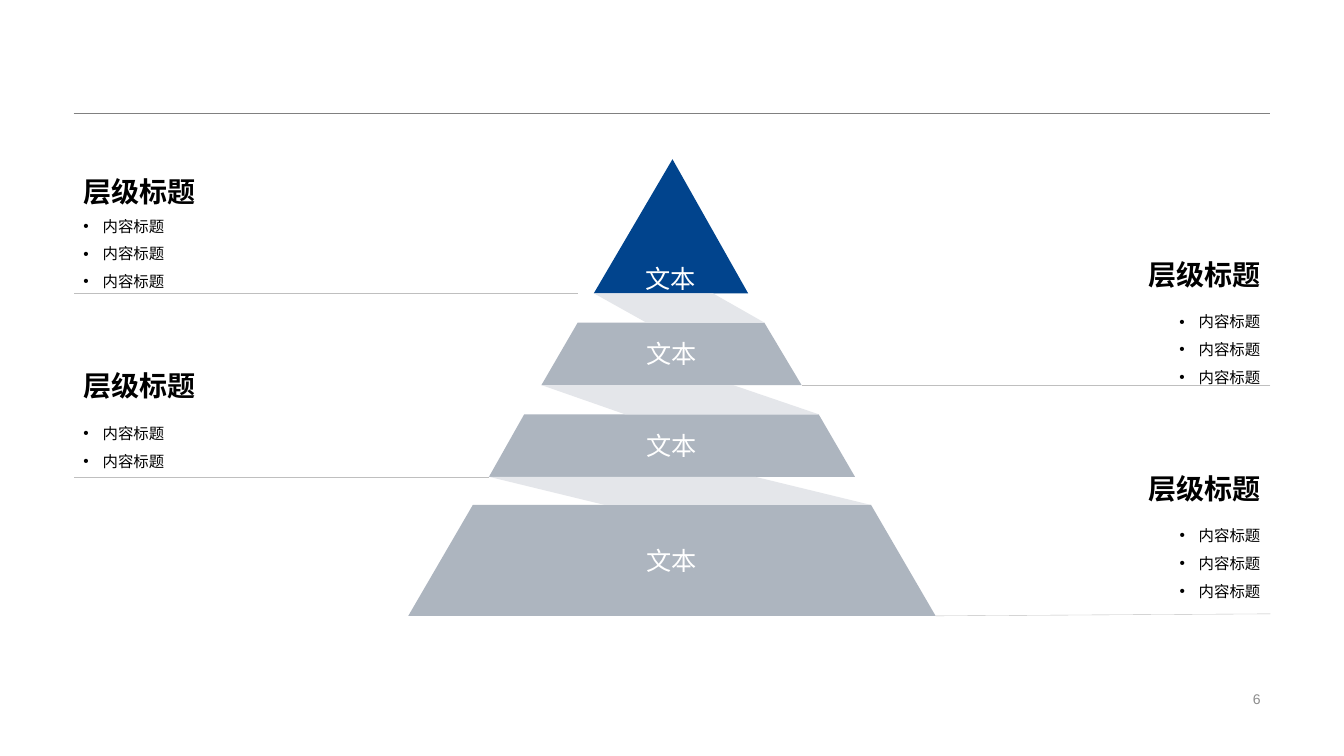
from dataclasses import dataclass
from itertools import pairwise

from lxml.etree import SubElement
from pptx import Presentation
from pptx.dml.color import RGBColor
from pptx.enum.shapes import MSO_CONNECTOR
from pptx.enum.text import MSO_ANCHOR as Anchor, PP_ALIGN as Align
from pptx.oxml.ns import qn
from pptx.slide import Slide
from pptx.text.text import TextFrame, _Paragraph as Paragraph
from pptx.util import Pt

PX = 9144  # EMU per px, 100 px to the inch
FONT = "Arial"

NAVY = RGBColor(0x01, 0x44, 0x8D)
STEEL = RGBColor(0xAD, 0xB5, 0xBF)
PALE = RGBColor(0xE4, 0xE6, 0xEA)
WHITE = RGBColor(0xFF, 0xFF, 0xFF)
BLACK = RGBColor(0x00, 0x00, 0x00)
HEADER_GREY = RGBColor(0x80, 0x80, 0x80)
RULE_GREY = RGBColor(0xBF, 0xBF, 0xBF)
NUMBER_GREY = RGBColor(0x8C, 0x8C, 0x8C)

LEFT, RIGHT = 73, 1260
HEADING_HEIGHT, LIST_HEIGHT = 48, 95

Point = tuple[int, int]


@dataclass(frozen=True)
class Tier:
    top: int
    bottom: int
    top_left: int
    top_right: int
    bottom_left: int
    bottom_right: int
    fill: RGBColor = STEEL
    anchor: Anchor = Anchor.MIDDLE
    label: str = "文本"


@dataclass(frozen=True)
class Level:
    left: int
    heading_top: int
    list_top: int
    width: int
    align: Align
    rule: tuple[Point, Point]
    items: int = 3
    heading: str = "层级标题"
    item: str = "内容标题"


TIERS = [
    Tier(158, 291, 667, 667, 589, 742, NAVY, Anchor.BOTTOM),
    Tier(320, 382, 573, 758, 537, 795),
    Tier(411, 473, 520, 812, 485, 848),
    Tier(501, 611, 469, 864, 405, 928),
]
# Upper right and lower left corner of each ribbon between two tiers
RIBBON_CORNERS = [(707, 641), (727, 620), (749, 600)]

LEVELS = [
    Level(LEFT, 166, 201, 516, Align.LEFT, ((573, 291), (LEFT, 291))),
    Level(744, 248, 296, 516, Align.RIGHT, ((RIGHT, 382), (795, 382))),
    Level(LEFT, 358, 407, 427, Align.LEFT, ((485, 473), (LEFT, 473)), items=2),
    Level(928, 460, 508, 332, Align.RIGHT, ((RIGHT, 609), (928, 611))),
]


def write(paragraph: Paragraph, text: str, size: int, color: RGBColor,
          align: Align, bold: bool = False) -> None:
    paragraph.alignment = align
    run = paragraph.add_run()
    run.text = text
    run.font.name = FONT
    run.font.size = Pt(size)
    run.font.bold = bold
    run.font.color.rgb = color


def add_bullet(paragraph: Paragraph) -> None:
    properties = paragraph._p.get_or_add_pPr()
    properties.set("marL", str(19 * PX))
    properties.set("indent", str(-19 * PX))
    SubElement(properties, qn("a:buFont"), typeface=FONT)
    SubElement(properties, qn("a:buChar"), char="•")


def add_frame(slide: Slide, left: int, top: int, width: int, height: int,
              anchor: Anchor) -> TextFrame:
    frame = slide.shapes.add_textbox(
        left * PX, top * PX, width * PX, height * PX).text_frame
    frame.word_wrap = True
    frame.vertical_anchor = anchor
    return frame


def add_rule(slide: Slide, start: Point, end: Point, color: RGBColor) -> None:
    rule = slide.shapes.add_connector(
        MSO_CONNECTOR.STRAIGHT, *(value * PX for value in start + end))
    rule.line.color.rgb = color
    rule.line.width = Pt(0.25)
    SubElement(rule._element.spPr, qn("a:effectLst"))


def add_polygon(slide: Slide, corners: list[Point], fill: RGBColor) -> TextFrame:
    builder = slide.shapes.build_freeform(*corners[0], scale=PX)
    builder.add_line_segments(corners[1:], close=True)
    polygon = builder.convert_to_shape()
    polygon.shadow.inherit = False
    polygon.fill.solid()
    polygon.fill.fore_color.rgb = fill
    polygon.line.fill.background()
    return polygon.text_frame


def add_tier(slide: Slide, tier: Tier) -> None:
    frame = add_polygon(slide, [
        (tier.bottom_left, tier.bottom), (tier.top_left, tier.top),
        (tier.top_right, tier.top), (tier.bottom_right, tier.bottom),
    ], tier.fill)
    frame.margin_left = frame.margin_right = 0
    frame.margin_top = frame.margin_bottom = 0
    frame.vertical_anchor = tier.anchor
    write(frame.paragraphs[0], tier.label, 18, WHITE, Align.CENTER)


def add_level(slide: Slide, level: Level) -> None:
    heading = add_frame(slide, level.left, level.heading_top, level.width,
                        HEADING_HEIGHT, Anchor.MIDDLE)
    write(heading.paragraphs[0], level.heading, 20, BLACK, level.align, bold=True)

    contents = add_frame(slide, level.left, level.list_top, level.width,
                         LIST_HEIGHT, Anchor.TOP)
    for index in range(level.items):
        entry = contents.add_paragraph() if index else contents.paragraphs[0]
        add_bullet(entry)
        entry.line_spacing = 1.5
        write(entry, level.item, 11, BLACK, level.align)

    add_rule(slide, *level.rule, RULE_GREY)


def main() -> None:
    deck = Presentation()
    deck.slide_width, deck.slide_height = 1333 * PX, 750 * PX
    slide = deck.slides.add_slide(deck.slide_layouts[6])

    # Header rule and page number
    add_rule(slide, (LEFT, 112), (RIGHT, 112), HEADER_GREY)
    page = add_frame(slide, 942, 682, 318, 23, Anchor.MIDDLE)
    write(page.paragraphs[0], "6", 10, NUMBER_GREY, Align.RIGHT)

    # Pyramid tiers, joined by pale ribbons
    for tier in TIERS:
        add_tier(slide, tier)
    for (upper, lower), (right, left) in zip(pairwise(TIERS), RIBBON_CORNERS):
        add_polygon(slide, [
            (upper.bottom_left, upper.bottom), (right, upper.bottom),
            (lower.top_right, lower.top), (left, lower.top),
        ], PALE)

    # Level descriptions on both sides
    for level in LEVELS:
        add_level(slide, level)

    deck.save("out.pptx")


if __name__ == "__main__":
    main()
